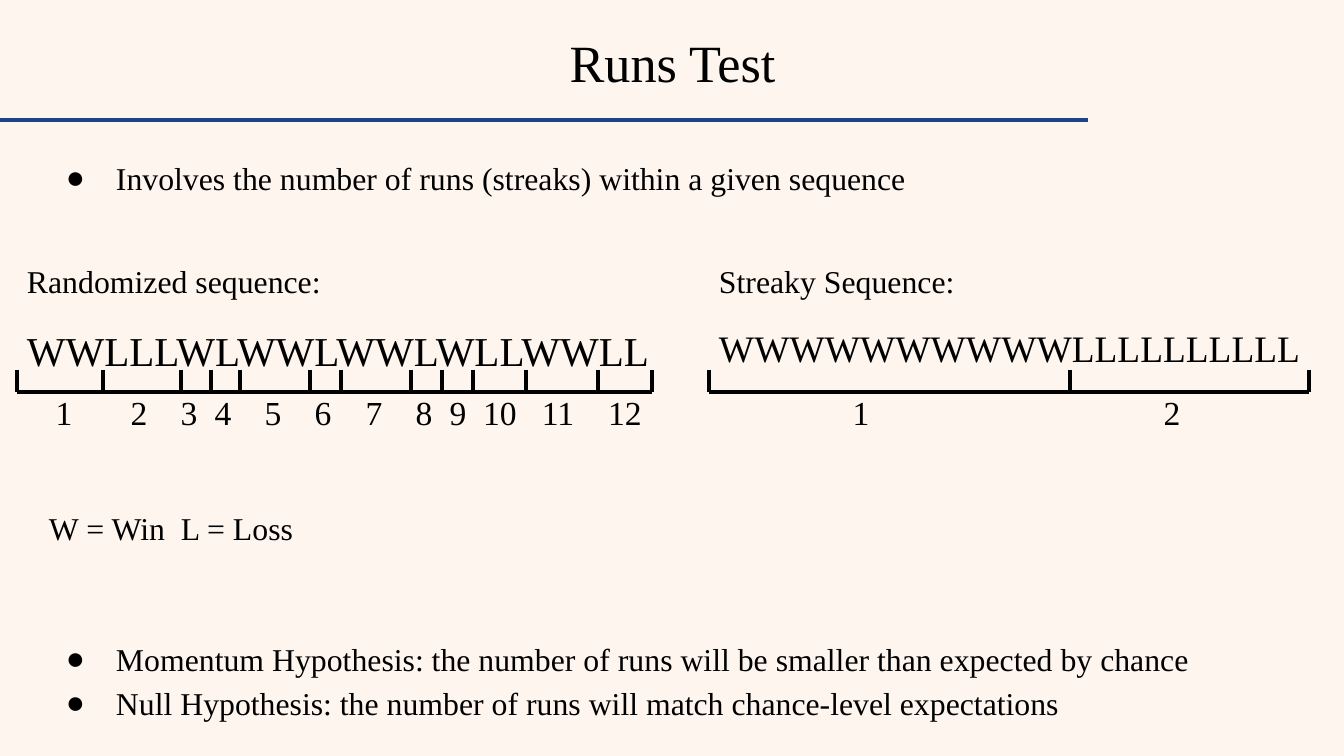
from lxml.etree import SubElement
from pptx import Presentation
from pptx.dml.color import RGBColor
from pptx.enum.shapes import MSO_CONNECTOR
from pptx.enum.text import MSO_ANCHOR, MSO_AUTO_SIZE, PP_ALIGN
from pptx.oxml.ns import qn
from pptx.util import Emu, Pt

FONT = "Times New Roman"
BLACK = RGBColor(0x00, 0x00, 0x00)
BLUE = RGBColor(0x1C, 0x45, 0x87)
CREAM = RGBColor(0xFE, 0xF6, 0xEE)
INSET = 13
TICK_TOP, BASE = 370, 392


def px(n):
    """Turn whole pixels into EMU."""
    return Emu(round(n * 914400 / 134.4))


def set_frame(tf, anchor=MSO_ANCHOR.TOP):
    """Give a text frame wrapping, equal insets and an anchor."""
    tf.word_wrap = True
    tf.auto_size = MSO_AUTO_SIZE.NONE
    tf.vertical_anchor = anchor
    tf.margin_left = tf.margin_right = px(INSET)
    tf.margin_top = tf.margin_bottom = px(INSET)


def add_run(p, text, size):
    """Append a black run to a paragraph."""
    r = p.add_run()
    r.text = text
    r.font.name = FONT
    r.font.size = Pt(size)
    r.font.color.rgb = BLACK


def add_box(s, x, y, w, h):
    """Add an empty text box and return its frame."""
    tf = s.shapes.add_textbox(px(x), px(y), px(w), px(h)).text_frame
    set_frame(tf)
    return tf


def add_paragraph(tf, text, size, before=0, bullet=False):
    """Write the next paragraph, with a bullet if asked."""
    p = tf.paragraphs[0]
    if p.runs:
        p = tf.add_paragraph()
    p.line_spacing = 1.15
    p.space_before = Pt(before)
    if bullet:
        pPr = p._p.get_or_add_pPr()
        pPr.set("marL", str(px(67)))
        pPr.set("indent", str(px(-50)))
        color = SubElement(pPr, qn("a:buClr"))
        SubElement(color, qn("a:srgbClr"), val=str(BLACK))
        SubElement(pPr, qn("a:buFont"), typeface=FONT)
        SubElement(pPr, qn("a:buChar"), char="●")
    add_run(p, text, size)


def add_line(s, x1, y1, x2, y2, color=BLACK):
    """Draw a straight line without shadow."""
    c = s.shapes.add_connector(
        MSO_CONNECTOR.STRAIGHT, px(x1), px(y1), px(x2), px(y2))
    c.line.color.rgb = color
    c.line.width = Pt(2.25)
    SubElement(c._element.spPr, qn("a:effectLst"))


def add_bracket(s, ticks):
    """Draw a base line with a tick at each run boundary."""
    add_line(s, ticks[0], BASE, ticks[-1], BASE)
    for x in ticks:
        add_line(s, x, TICK_TOP, x, BASE)


def add_numbers(s, x, centers):
    """Number the runs in one box, each on a centred tab stop."""
    p = add_box(s, x, 379, 648, 31).paragraphs[0]
    tabs = SubElement(p._p.get_or_add_pPr(), qn("a:tabLst"))
    for center in centers:
        SubElement(tabs, qn("a:tab"), pos=str(px(center - x - INSET)), algn="ctr")
    add_run(p, "".join(f"\t{n}" for n in range(1, len(centers) + 1)), 18)


def add_sequence(s, x, w, heading, letters, size):
    """Write a heading with its sequence of wins and losses."""
    tf = add_box(s, x, 243, w, 211)
    add_paragraph(tf, heading, 17)
    add_paragraph(tf, letters, size, before=10)


def add_title(s, text):
    """Place and format the title placeholder."""
    sp = s.shapes.title
    sp.left, sp.top, sp.width, sp.height = px(46), px(23), px(1253), px(85)
    set_frame(sp.text_frame, MSO_ANCHOR.MIDDLE)
    p = sp.text_frame.paragraphs[0]
    p.alignment = PP_ALIGN.CENTER
    p.line_spacing = 0.9
    add_run(p, text, 28)


def main():
    """Build the slide and save it."""
    prs = Presentation()
    prs.slide_width, prs.slide_height = px(1344), px(756)
    s = prs.slides.add_slide(prs.slide_layouts[5])
    s.background.fill.solid()
    s.background.fill.fore_color.rgb = CREAM

    add_line(s, -1, 120, 1088, 120, BLUE)
    add_title(s, "Runs Test")

    tf = add_box(s, 36, 140, 1230, 85)
    add_paragraph(tf, "Involves the number of runs (streaks) within a given sequence",
                  17, bullet=True)
    add_paragraph(tf, "W = Win  L = Loss", 17, before=164)
    add_paragraph(tf, "Momentum Hypothesis: the number of runs will be smaller "
                  "than expected by chance", 17, before=47, bullet=True)
    add_paragraph(tf, "Null Hypothesis: the number of runs will match "
                  "chance-level expectations", 17, bullet=True)

    add_sequence(s, 14, 672, "Randomized sequence:", "WWLLLWLWWLWWLWLLWWLL", 22)
    add_bracket(s, [17, 103, 181, 211, 240, 310, 341, 411, 442, 473, 526, 598, 652])
    add_numbers(s, 17, [64, 139, 189, 223, 273, 323, 374, 424, 458, 500, 558, 625])

    add_sequence(s, 706, 636, "Streaky Sequence:", "W" * 10 + "L" * 10, 20)
    add_bracket(s, [709, 1070, 1309])
    add_numbers(s, 656, [861, 1172])

    prs.save("out.pptx")


if __name__ == "__main__":
    main()
